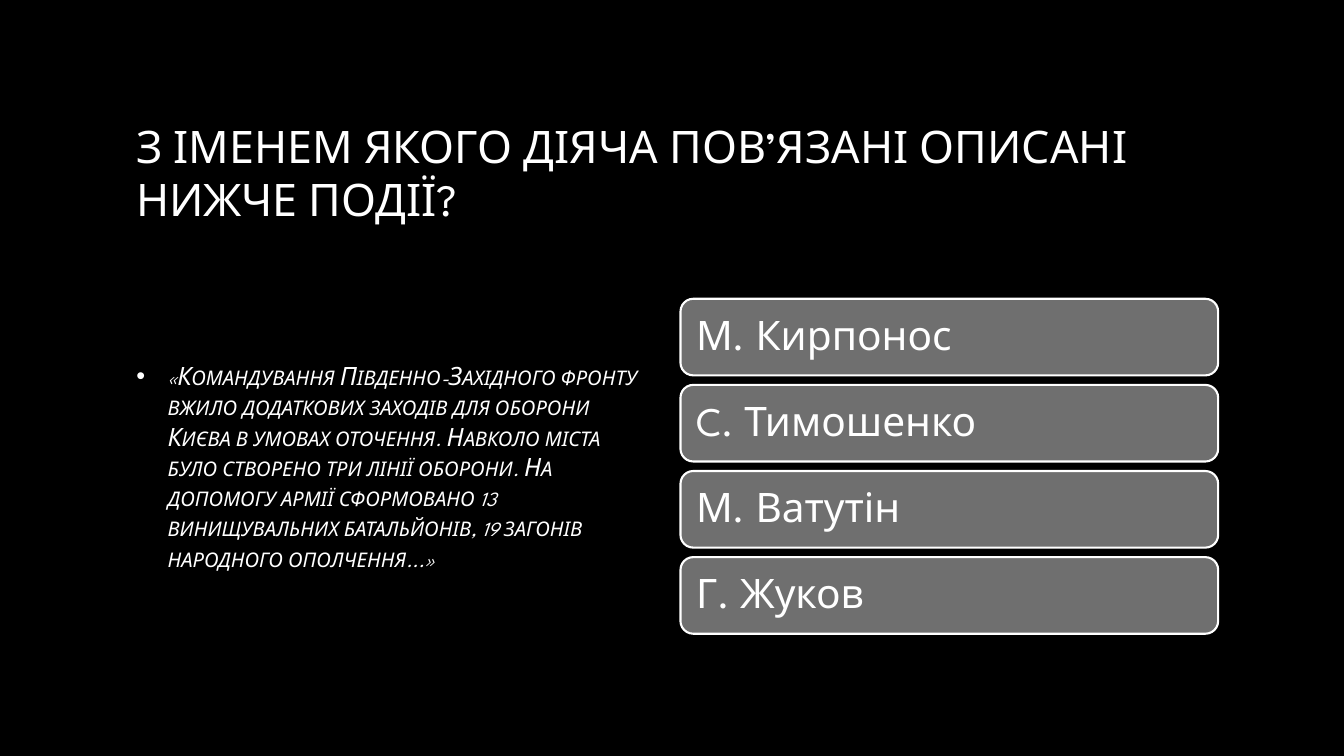
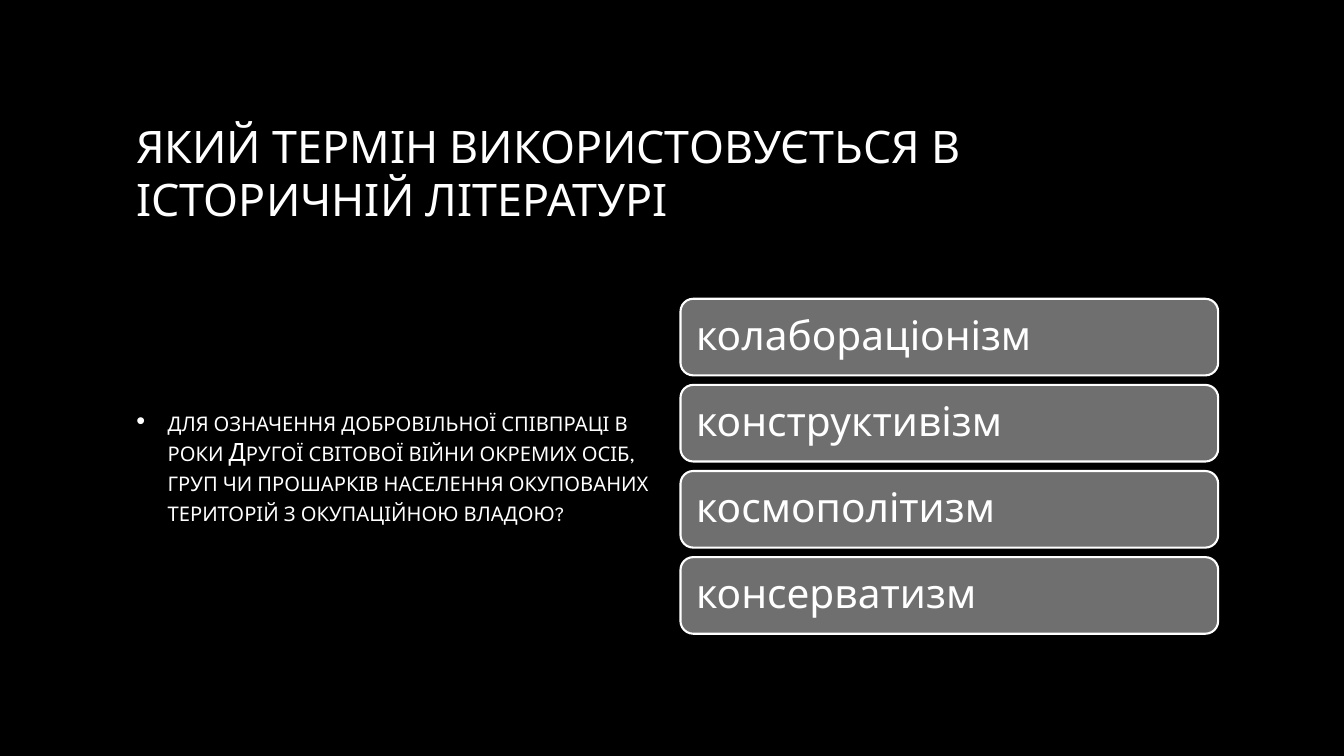
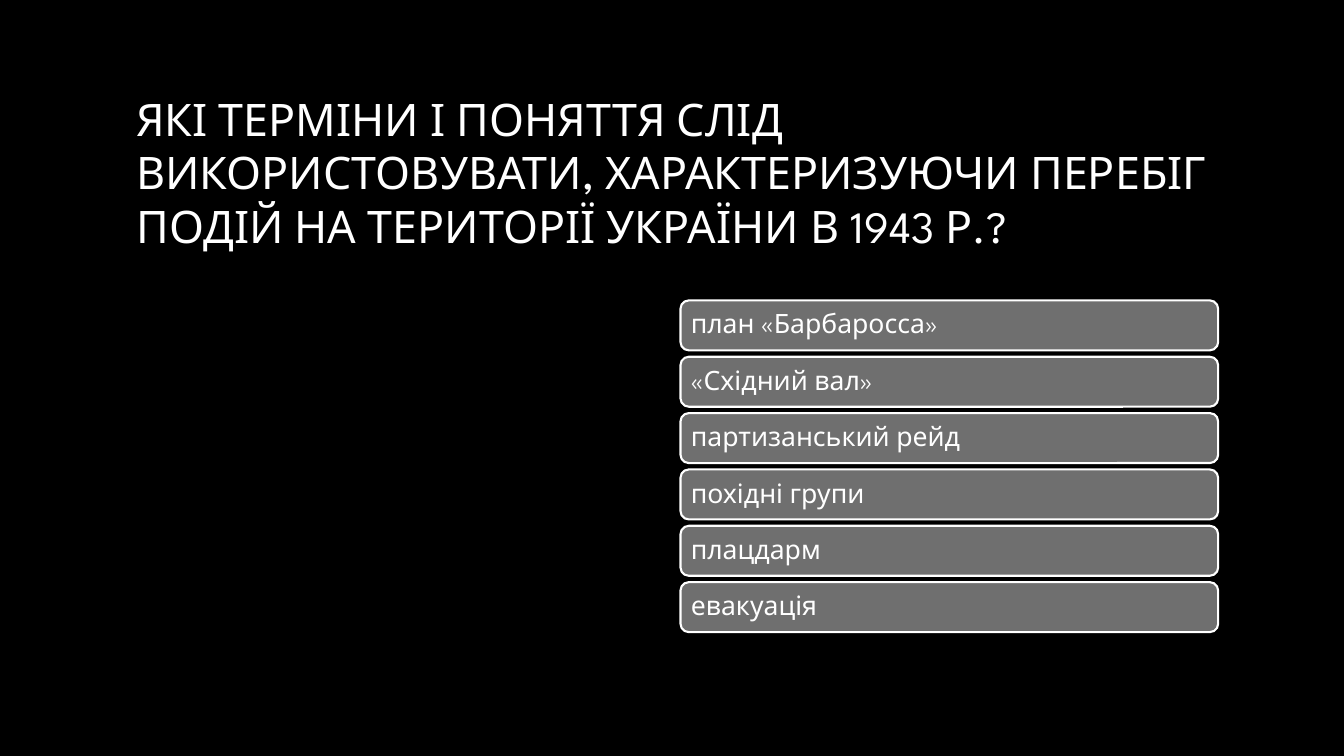
from dataclasses import dataclass

from lxml import etree
from pptx import Presentation
from pptx.dml.color import RGBColor
from pptx.enum.shapes import MSO_SHAPE
from pptx.enum.text import MSO_ANCHOR, MSO_AUTO_SIZE, PP_ALIGN
from pptx.oxml.ns import qn
from pptx.util import Cm, Pt

ROUNDED = MSO_SHAPE.ROUNDED_RECTANGLE
MIDDLE = MSO_ANCHOR.MIDDLE
NO_AUTOFIT = MSO_AUTO_SIZE.NONE
LEFT = PP_ALIGN.LEFT

FONT = "League Spartan"
COLOURS = {
    "background": "000000",
    "text": "FFFFFF",
    "title_fade": "A6A6A6",
    "body_fade": "BFBFBF",
    "answer": "6F6F6F",
}
TITLE_LAYOUT, BODY_LAYOUT = 5, 1

MARGIN = 3.18
CONTENT_WIDTH = 27.52
COLUMN_WIDTH = 13.55
ANSWERS_LEFT = MARGIN + CONTENT_WIDTH - COLUMN_WIDTH
ANSWERS_MIDDLE = 11.75
BULLET_INDENT = 0.79


@dataclass(frozen=True)
class AnswerStyle:
    """Lengths in centimetres, text size in points."""
    size: int
    height: float
    gap: float
    inset: float


@dataclass(frozen=True)
class Question:
    title: str
    answers: tuple[str, ...]
    style: AnswerStyle
    details: str = ""
    quoted: bool = False


LARGE = AnswerStyle(size=29, height=1.93, gap=0.24, inset=0.3)
SMALL = AnswerStyle(size=19, height=1.26, gap=0.16, inset=0.2)

QUESTIONS = (
    Question(
        "З ІМЕНЕМ ЯКОГО ДІЯЧА ПОВ’ЯЗАНІ ОПИСАНІ НИЖЧЕ ПОДІЇ?",
        ("М. Кирпонос", "C. Тимошенко", "М. Ватутін", "Г. Жуков"),
        LARGE,
        "«Командування Південно-Західного фронту вжило додаткових заходів для "
        "оборони Києва в умовах оточення. Навколо міста було створено три лінії "
        "оборони. На допомогу армії сформовано 13 винищувальних батальйонів, "
        "19 загонів народного ополчення...»",
        quoted=True,
    ),
    Question(
        "ЯКИЙ ТЕРМІН ВИКОРИСТОВУЄТЬСЯ В ІСТОРИЧНІЙ ЛІТЕРАТУРІ",
        ("колабораціонізм", "конструктивізм", "космополітизм", "консерватизм"),
        LARGE,
        "для означення добровільної співпраці в роки Другої світової війни "
        "окремих осіб, груп чи прошарків населення окупованих територій "
        "з окупаційною владою?",
    ),
    Question(
        "ЯКІ ТЕРМІНИ І ПОНЯТТЯ СЛІД ВИКОРИСТОВУВАТИ, ХАРАКТЕРИЗУЮЧИ ПЕРЕБІГ "
        "ПОДІЙ НА ТЕРИТОРІЇ УКРАЇНИ В 1943 Р.?",
        ("план «Барбаросса»", "«Східний вал»", "партизанський рейд",
         "похідні групи", "плацдарм", "евакуація"),
        SMALL,
    ),
)


def rgb(name: str) -> RGBColor:
    return RGBColor.from_string(COLOURS[name])


def place(shape, left: float, top: float, width: float, height: float) -> None:
    shape.left, shape.top = Cm(left), Cm(top)
    shape.width, shape.height = Cm(width), Cm(height)


def write(shape, text: str, *, size: int, fade: str = "", italic: bool = False,
          small_caps: bool = False, line_spacing: float = 1.0):
    """Fill the shape with one left-aligned paragraph; fade names a gradient end."""
    frame = shape.text_frame
    frame.word_wrap = True
    frame.auto_size = NO_AUTOFIT
    frame.vertical_anchor = MIDDLE
    paragraph = frame.paragraphs[0]
    paragraph.alignment = LEFT
    paragraph.line_spacing = line_spacing
    paragraph.space_before = Pt(0)
    run = paragraph.add_run()
    run.text = text
    font = run.font
    font.name, font.size = FONT, Pt(size)
    if italic:
        font.italic = True
    if small_caps:
        run._r.get_or_add_rPr().set("cap", "small")
    if fade:
        font.fill.gradient()
        font.fill.gradient_angle = 267
        for stop, colour in zip(font.fill.gradient_stops, ("text", fade)):
            stop.color.rgb = rgb(colour)
    else:
        font.color.rgb = rgb("text")
    return paragraph


def add_bullet(paragraph) -> None:
    properties = paragraph._p.get_or_add_pPr()
    properties.set("marL", str(Cm(BULLET_INDENT)))
    properties.set("indent", str(-Cm(BULLET_INDENT)))
    colour = etree.SubElement(properties, qn("a:buClr"))
    etree.SubElement(colour, qn("a:srgbClr"), val=COLOURS["text"])
    etree.SubElement(properties, qn("a:buFont"), typeface="Arial")
    etree.SubElement(properties, qn("a:buChar"), char="•")


def add_answers(slide, answers: tuple[str, ...], style: AnswerStyle) -> None:
    """Stack the answers evenly around the middle of the right column."""
    pitch = style.height + style.gap
    top = ANSWERS_MIDDLE - (len(answers) * pitch - style.gap) / 2
    for row, answer in enumerate(answers):
        box = slide.shapes.add_shape(
            ROUNDED, Cm(ANSWERS_LEFT), Cm(top + row * pitch),
            Cm(COLUMN_WIDTH), Cm(style.height))
        box.shadow.inherit = False
        box.fill.solid()
        box.fill.fore_color.rgb = rgb("answer")
        box.line.color.rgb = rgb("text")
        box.line.width = Pt(1.5)
        frame = box.text_frame
        frame.margin_left = frame.margin_right = Cm(style.inset)
        frame.margin_top = frame.margin_bottom = Cm(style.inset)
        write(box, answer, size=style.size, line_spacing=0.9)


def add_question(deck, question: Question) -> None:
    layout = BODY_LAYOUT if question.details else TITLE_LAYOUT
    slide = deck.slides.add_slide(deck.slide_layouts[layout])
    title = slide.shapes.title
    place(title, MARGIN, 1.69, CONTENT_WIDTH, 5.29)
    write(title, question.title, size=32, fade="title_fade")
    if question.details:
        details = slide.placeholders[1]
        place(details, MARGIN, 7.41, COLUMN_WIDTH, 8.68)
        paragraph = write(details, question.details, size=18, fade="body_fade",
                          italic=question.quoted, small_caps=True)
        paragraph.space_after = Pt(6)
        add_bullet(paragraph)
    add_answers(slide, question.answers, question.style)


def main() -> None:
    deck = Presentation()
    deck.slide_width, deck.slide_height = Cm(33.87), Cm(19.05)
    background = deck.slide_master.background.fill
    background.solid()
    background.fore_color.rgb = rgb("background")
    for question in QUESTIONS:
        add_question(deck, question)
    deck.save("out.pptx")


if __name__ == "__main__":
    main()
